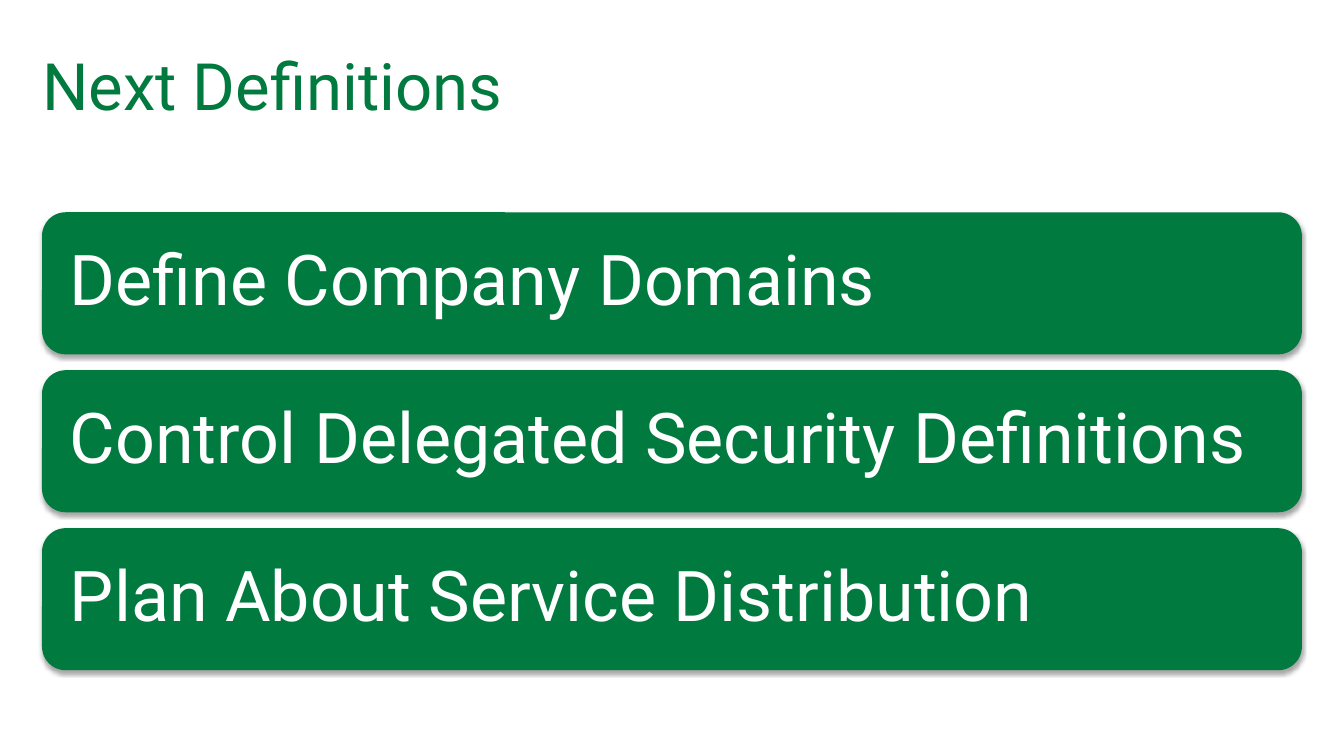
import pptx
import pptx.dml.color
import pptx.enum.shapes
import pptx.enum.text
import pptx.oxml
import pptx.oxml.ns
import pptx.util
from pptx.util import Cm

GREEN = pptx.dml.color.RGBColor(0x00, 0x7A, 0x3E)
WHITE = pptx.dml.color.RGBColor(0xFF, 0xFF, 0xFF)
FONT = "Roboto"
MIDDLE = pptx.enum.text.MSO_ANCHOR.MIDDLE
LEFT = pptx.enum.text.PP_ALIGN.LEFT

DEFINITIONS = [
    "Define Company Domains",
    "Control Delegated Security Definitions",
    "Plan About Service Distribution",
]

SHADOW_XML = (
    f'<a:effectLst {pptx.oxml.ns.nsdecls("a")}>'
    '<a:outerShdw blurRad="39400" dist="22900" dir="5400000" rotWithShape="0">'
    '<a:srgbClr val="000000"><a:alpha val="35000"/></a:srgbClr>'
    '</a:outerShdw></a:effectLst>'
)


def write_line(shape, wording, size, color, inset):
    """Fill a shape with one left-aligned, vertically centred line."""
    frame = shape.text_frame
    frame.word_wrap = True
    frame.auto_size = pptx.enum.text.MSO_AUTO_SIZE.NONE
    frame.vertical_anchor = MIDDLE
    frame.margin_left = frame.margin_right = inset
    frame.margin_top = frame.margin_bottom = inset
    line = frame.paragraphs[0]
    line.text = wording
    line.alignment = LEFT
    line.line_spacing = 0.9
    line.font.name = FONT
    line.font.size = pptx.util.Pt(size)
    line.font.color.rgb = color
    return line


def add_heading(slide, left, top, width, height):
    heading = slide.shapes.title
    heading.left, heading.top = left, top
    heading.width, heading.height = width, height
    line = write_line(heading, "Next Definitions", 46.6, GREEN, 0)
    line.line_spacing = 1.0


def add_definition_bars(slide, left, top, width, height, gap):
    """Stack the definitions as equal bars that fill the given box."""
    bar_height = (height - gap * (len(DEFINITIONS) - 1)) // len(DEFINITIONS)
    for row, definition in enumerate(DEFINITIONS):
        bar = slide.shapes.add_shape(
            pptx.enum.shapes.MSO_SHAPE.ROUNDED_RECTANGLE,
            left, top + row * (bar_height + gap), width, bar_height)
        bar.fill.solid()
        bar.fill.fore_color.rgb = GREEN
        bar.line.fill.background()
        # Soft shadow straight below the bar
        bar._element.spPr.append(pptx.oxml.parse_xml(SHADOW_XML))
        write_line(bar, definition, 50, WHITE, Cm(0.53))


def main():
    deck = pptx.Presentation()
    deck.slide_width, deck.slide_height = Cm(33.87), Cm(19.05)
    slide = deck.slides.add_slide(deck.slide_layouts.get_by_name("Title Only"))

    # Heading and bars share the same left edge and width
    left, width = Cm(1.06), Cm(31.75)
    add_heading(slide, left, Cm(1.06), width, Cm(2.12))
    add_definition_bars(slide, left, Cm(5.35), width, Cm(11.54), Cm(0.4))

    deck.save("out.pptx")


if __name__ == "__main__":
    main()
